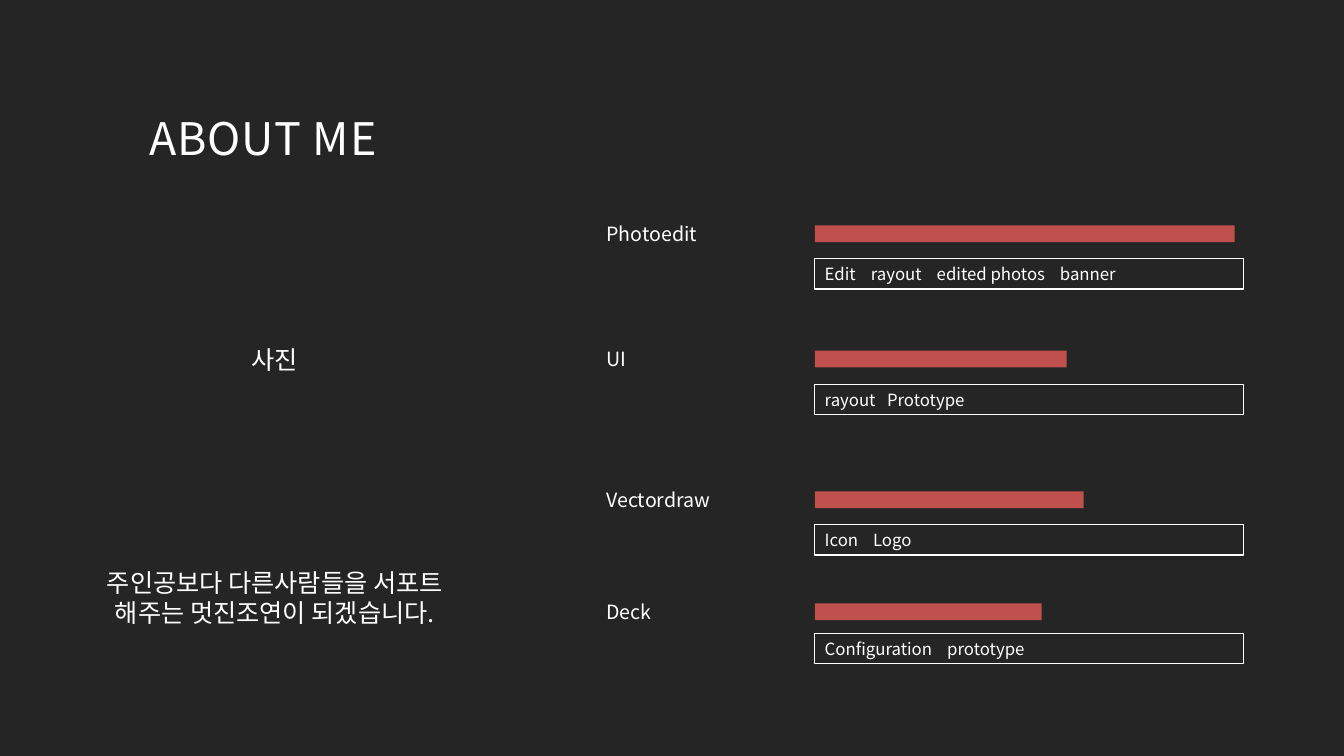
from pptx import Presentation
from pptx.dml.color import RGBColor
from pptx.enum.shapes import MSO_SHAPE
from pptx.enum.text import MSO_ANCHOR, MSO_AUTO_SIZE, PP_ALIGN
from pptx.oxml.ns import qn
from pptx.util import Pt

RECTANGLE = MSO_SHAPE.RECTANGLE
MIDDLE = MSO_ANCHOR.MIDDLE
FIXED_SIZE = MSO_AUTO_SIZE.NONE
LEFT, CENTER = PP_ALIGN.LEFT, PP_ALIGN.CENTER

CHARCOAL = RGBColor(0x25, 0x25, 0x25)
RED = RGBColor(0xC0, 0x50, 0x4D)
WHITE = RGBColor(0xFF, 0xFF, 0xFF)
FONT = "Noto Sans CJK KR"

FULL_BAR = 300
# name, bar top, share of the full bar, gap to the task box, tasks, tab stops
SKILLS = [
    ("Photoedit", 161, 1.00, 24, ["Edit", "rayout", "edited photos", "banner"], [33, 80, 168]),
    ("UI", 250.5, 0.60, 24, ["rayout", "Prototype"], [44.5]),
    ("Vectordraw", 351, 0.64, 24, ["Icon", "Logo"], [34.5]),
    ("Deck", 431, 0.54, 21.5, ["Configuration", "prototype"], [87.5]),
]


def add_run(paragraph, text, size, spacing=None):
    """Add a white run; spacing is in hundredths of a point."""
    run = paragraph.add_run()
    run.text = text
    run.font.size = Pt(size)
    run.font.name = FONT
    run.font.color.rgb = WHITE
    properties = run.font._element
    east_asian = properties.makeelement(qn("a:ea"), {"typeface": FONT})
    properties.find(qn("a:latin")).addnext(east_asian)
    if spacing is not None:
        properties.set("spc", str(spacing))


def prepare_frame(shape, align, side_inset=7.2):
    """Set wrapping, anchor and insets; return the first paragraph."""
    frame = shape.text_frame
    frame.word_wrap = True
    frame.auto_size = FIXED_SIZE
    frame.vertical_anchor = MIDDLE
    frame.margin_left = frame.margin_right = Pt(side_inset)
    frame.margin_top = frame.margin_bottom = 0
    paragraph = frame.paragraphs[0]
    paragraph.alignment = align
    return paragraph


def add_label(slide, left, top, width, height, text, size, align, side_inset=7.2):
    label = slide.shapes.add_textbox(Pt(left), Pt(top), Pt(width), Pt(height))
    paragraph = prepare_frame(label, align, side_inset)
    add_run(paragraph, text, size)
    return paragraph


def add_tab_stops(paragraph, stops):
    properties = paragraph._p.get_or_add_pPr()
    tab_list = properties.makeelement(qn("a:tabLst"), {})
    properties.append(tab_list)
    for stop in stops:
        tab = tab_list.makeelement(qn("a:tab"), {"pos": str(Pt(stop)), "algn": "l"})
        tab_list.append(tab)


def add_rectangle(slide, left, top, width, height):
    rectangle = slide.shapes.add_shape(RECTANGLE, Pt(left), Pt(top), Pt(width), Pt(height))
    rectangle.shadow.inherit = False
    return rectangle


def set_title(slide, left, top, width, height):
    title = slide.shapes.title
    title.left, title.top = Pt(left), Pt(top)
    title.width, title.height = Pt(width), Pt(height)
    paragraph = prepare_frame(title, LEFT, 0)
    add_run(paragraph, "ABOUT ", 32, 50)
    add_run(paragraph, "ME", 32, 110)


def add_profile(slide, left, top, width):
    """Photo caption above the personal motto, centred in one column."""
    add_label(slide, left, top, width, 29, "사진", 18, CENTER)
    motto = add_label(slide, left, top + 162.5, width, 45,
                      "주인공보다 다른사람들을 서포트 해주는 멋진조연이 되겠습니다.",
                      18, CENTER, 0)
    motto.line_spacing = Pt(21.5)


def add_skill(slide, left, top, name, share, task_gap, tasks, stops):
    """One skill: name at left, level bar and task box at right."""
    bar_left = left + 156
    add_label(slide, left, top - 5.5, 132, 23, name, 14, LEFT)

    bar = add_rectangle(slide, bar_left, top, FULL_BAR * share, 12)
    bar.fill.solid()
    bar.fill.fore_color.rgb = RED
    bar.line.fill.background()

    task_box = add_rectangle(slide, bar_left, top + task_gap, 306, 21.5)
    task_box.fill.background()
    task_box.line.color.rgb = WHITE
    task_box.line.width = Pt(0.75)
    paragraph = prepare_frame(task_box, LEFT)
    add_tab_stops(paragraph, stops)
    add_run(paragraph, "\t".join(tasks), 12)


def main():
    presentation = Presentation()
    presentation.slide_width, presentation.slide_height = Pt(960), Pt(540)
    slide = presentation.slides.add_slide(presentation.slide_layouts[5])
    slide.background.fill.solid()
    slide.background.fill.fore_color.rgb = CHARCOAL

    set_title(slide, 106.5, 79, 284, 39)
    add_profile(slide, 63, 242, 266.5)
    for name, top, share, task_gap, tasks, stops in SKILLS:
        add_skill(slide, 426, top, name, share, task_gap, tasks, stops)
    presentation.save("out.pptx")


if __name__ == "__main__":
    main()
